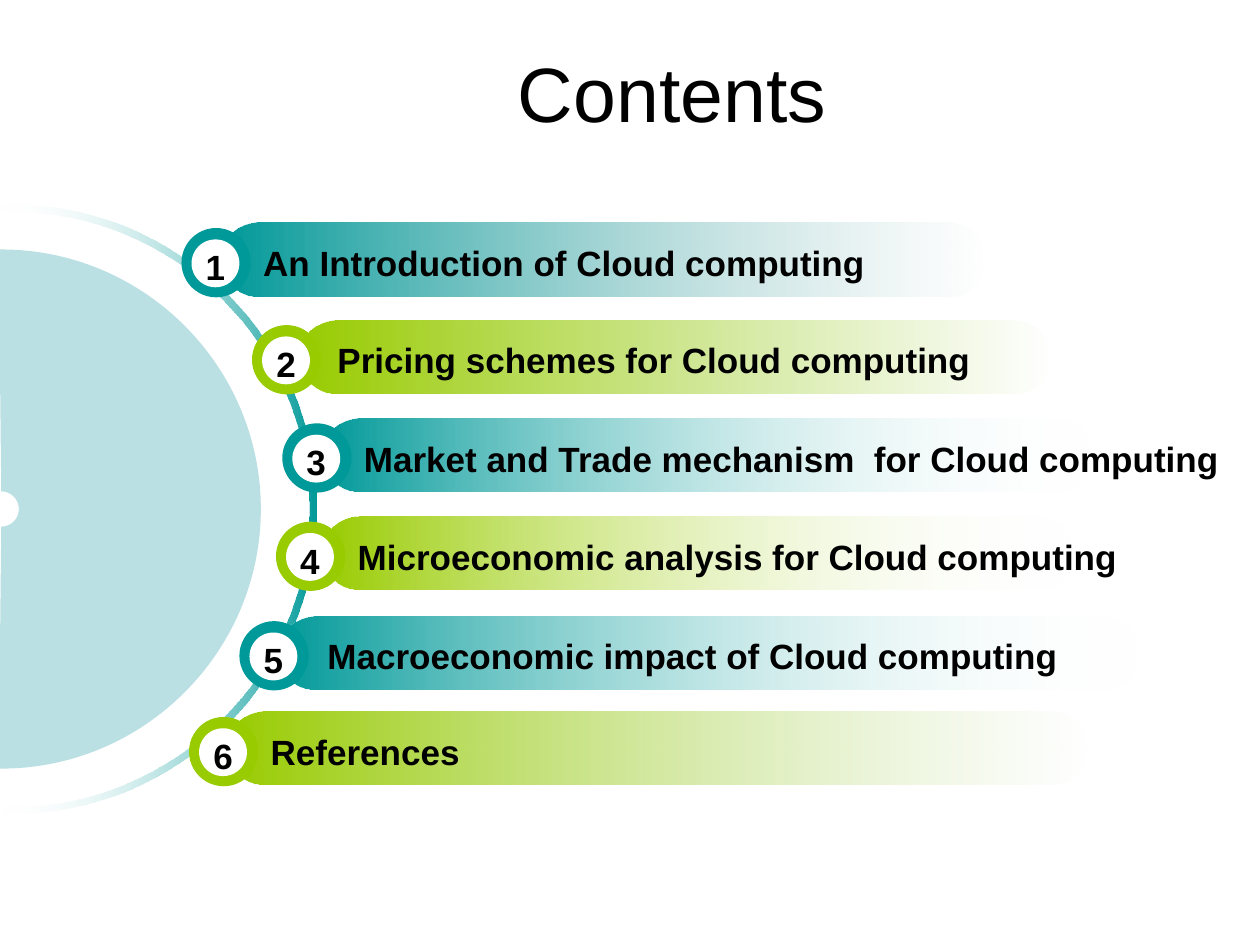
import pptx
import pptx.dml.color
import pptx.enum.shapes
import pptx.enum.text
import pptx.util
from lxml import etree
from pptx.util import Inches

SHAPE = pptx.enum.shapes.MSO_SHAPE
ALIGN = pptx.enum.text.PP_ALIGN
ANCHOR = pptx.enum.text.MSO_ANCHOR
AUTO_SIZE = pptx.enum.text.MSO_AUTO_SIZE

TEAL, GREEN, PALE, WHITE, BLACK = "009999", "99CC00", "BBE0E3", "FFFFFF", "000000"
TITLE_FONT = {"name": "Arial", "size": pptx.util.Pt(44), "bold": False}
ENTRY_FONT = {"name": "Arial", "size": pptx.util.Pt(20), "bold": True}
ENTRY_FRAME = {"word_wrap": False, "auto_size": AUTO_SIZE.SHAPE_TO_FIT_TEXT}

BAR_HEIGHT = 0.58
BADGE_SIZE, BADGE_DROP = 0.55, 0.04
HOLE_SIZE, HOLE_LEFT, HOLE_DROP = 0.38, 0.08, 0.09
NUMBER_INSET, NUMBER_WIDTH = 0.09, 0.36
TEXT_HEIGHT, LABEL_DROP = 0.44, 0.1
ARC_HANDLE = 0.55  # control point distance of a quarter circle, in radii

# label, label left and width, badge left, bar left, top and width, bar colours
ENTRIES = [
    ("An Introduction of Cloud computing", 1.99, 5.09, 1.44, 1.76, 1.77, 6.06, TEAL, "91BCBC"),
    ("Pricing schemes for Cloud computing", 2.58, 5.27, 2.0, 2.38, 2.54, 5.96, GREEN, "9ECE39"),
    ("Market and Trade mechanism  for Cloud computing", 2.79, 7.04, 2.24, 2.56, 3.32, 6.11, TEAL, WHITE),
    ("Microeconomic analysis for Cloud computing", 2.74, 6.28, 2.19, 2.56, 4.1, 5.96, GREEN, WHITE),
    ("Macroeconomic impact of Cloud computing", 2.5, 6.04, 1.9, 2.21, 4.89, 6.83, TEAL, WHITE),
    ("References", 2.05, 1.72, 1.5, 1.81, 5.65, 6.83, GREEN, "B9DA8A"),
]


def rgb(value):
    return pptx.dml.color.RGBColor.from_string(value)


def apply(target, formats):
    for name, value in formats.items():
        setattr(target, name, value)


def paint(shape, color):
    shape.shadow.inherit = False
    shape.line.fill.background()
    shape.fill.solid()
    shape.fill.fore_color.rgb = rgb(color)


def fade(shape, start, end, clear_stop):
    """Fill from left to right; the stop numbered clear_stop is transparent."""
    shape.shadow.inherit = False
    shape.line.fill.background()
    shape.fill.gradient()
    shape.fill.gradient_angle = 0
    for stop, color in zip(shape.fill.gradient_stops, (start, end)):
        stop.color.rgb = rgb(color)
    clear_color = shape.element.spPr.xpath("./a:gradFill//a:srgbClr")[clear_stop]
    etree.SubElement(clear_color, pptx.oxml.ns.qn("a:alpha"), val="0")


def write(frame, text, font, align):
    paragraph = frame.paragraphs[0]
    paragraph.text = text
    paragraph.alignment = align
    apply(paragraph.font, font)
    paragraph.font.color.rgb = rgb(BLACK)


def add_entry_text(shapes, text, left, top, width, align):
    box = shapes.add_textbox(Inches(left), Inches(top), Inches(width), Inches(TEXT_HEIGHT))
    apply(box.text_frame, ENTRY_FRAME)
    write(box.text_frame, text, ENTRY_FONT, align)


def half_circle(edge, center_x, center_y, radius):
    """Start, control and end points of four curves from edge, round the right, to edge."""
    handle = ARC_HANDLE * radius
    right = center_x + radius
    upper = [(edge, -radius), (edge, -radius), (center_x, -radius), (center_x, -radius),
             (center_x + handle, -radius), (right, -handle), (right, 0)]
    lower = [(x, -y) for x, y in upper[-2::-1]]
    return [(Inches(x), Inches(center_y + y)) for x, y in upper + lower]


def bend(outline, first_line, line_count):
    """Turn each three lines of the outline into one cubic curve."""
    lines = outline.findall(pptx.oxml.ns.qn("a:lnTo"))[first_line:first_line + line_count]
    for curve, *others in zip(lines[::3], lines[1::3], lines[2::3]):
        curve.tag = pptx.oxml.ns.qn("a:cubicBezTo")
        for line in others:
            curve.append(line[0])
            outline.remove(line)


def add_half_ring(shapes, inner, outer):
    inner_points, outer_points = half_circle(*inner), half_circle(*outer)[::-1]
    builder = shapes.build_freeform(*inner_points[0])
    builder.add_line_segments(inner_points[1:] + outer_points, close=True)
    ring = builder.convert_to_shape()
    outline = ring.element.spPr.xpath(".//a:path")[0]
    bend(outline, len(inner_points), len(outer_points) - 1)
    bend(outline, 0, len(inner_points) - 1)
    return ring


def add_dial(shapes, left, middle):
    edge, arc_center = left + 0.01, left + 0.09
    arc = add_half_ring(shapes, (edge, arc_center, middle, 2.36), (edge, arc_center, middle, 2.42))
    fade(arc, WHITE, TEAL, clear_stop=0)
    disc = add_half_ring(shapes, (edge, edge, middle, 0.14), (left - 0.01, edge, middle, 2.06))
    paint(disc, PALE)


def add_badge(shapes, number, left, top, color):
    for x, y, size, fill in ((left, top, BADGE_SIZE, color),
                             (left + HOLE_LEFT, top + HOLE_DROP, HOLE_SIZE, WHITE)):
        circle = shapes.add_shape(SHAPE.OVAL, Inches(x), Inches(y), Inches(size), Inches(size))
        paint(circle, fill)
    add_entry_text(shapes, str(number), left + NUMBER_INSET, top + NUMBER_INSET,
                   NUMBER_WIDTH, ALIGN.CENTER)


def add_entry(shapes, number, entry):
    label, label_left, label_width, badge_left, left, top, width, color, end_color = entry
    members = shapes.add_group_shape().shapes
    bar = members.add_shape(SHAPE.ROUNDED_RECTANGLE, Inches(left), Inches(top),
                            Inches(width), Inches(BAR_HEIGHT))
    bar.adjustments[0] = 0.5
    fade(bar, color, end_color, clear_stop=1)
    add_badge(members, number, badge_left, top + BADGE_DROP, color)
    add_entry_text(members, label, label_left, top + LABEL_DROP, label_width, ALIGN.LEFT)


def place_title(title, left, top, width, height):
    apply(title, {"left": Inches(left), "top": Inches(top),
                  "width": Inches(width), "height": Inches(height)})
    title.text_frame.vertical_anchor = ANCHOR.MIDDLE
    write(title.text_frame, "Contents", TITLE_FONT, ALIGN.CENTER)


def main():
    deck = pptx.Presentation()
    apply(deck, {"slide_width": Inches(10), "slide_height": Inches(7.5)})
    slide = deck.slides.add_slide(deck.slide_layouts.get_by_name("Title Only"))
    place_title(slide.shapes.title, 1, 0.21, 8.67, 1.03)
    add_dial(slide.shapes, 0, 4.04)
    for number, entry in enumerate(ENTRIES, start=1):
        add_entry(slide.shapes, number, entry)
    deck.save("out.pptx")


if __name__ == "__main__":
    main()
